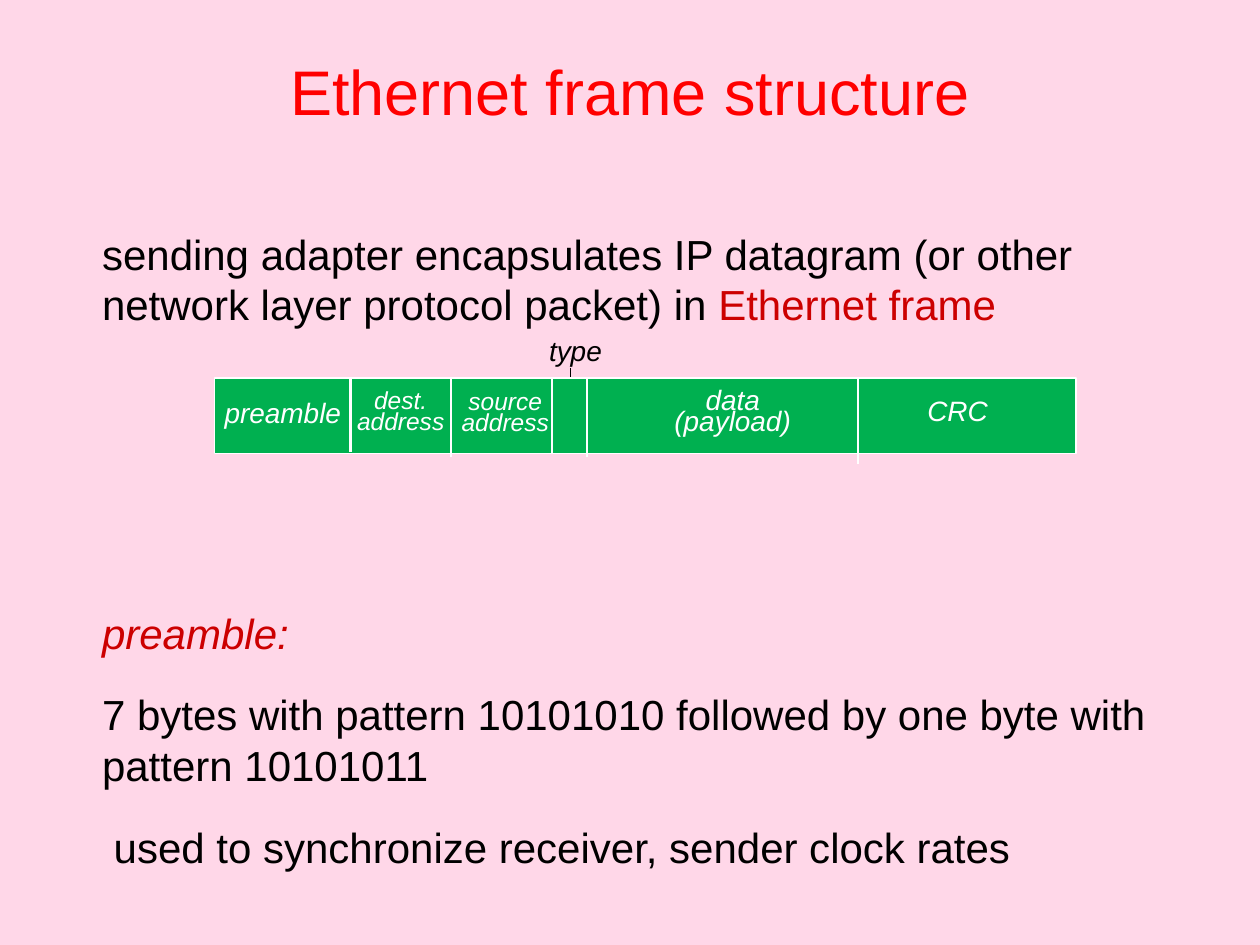
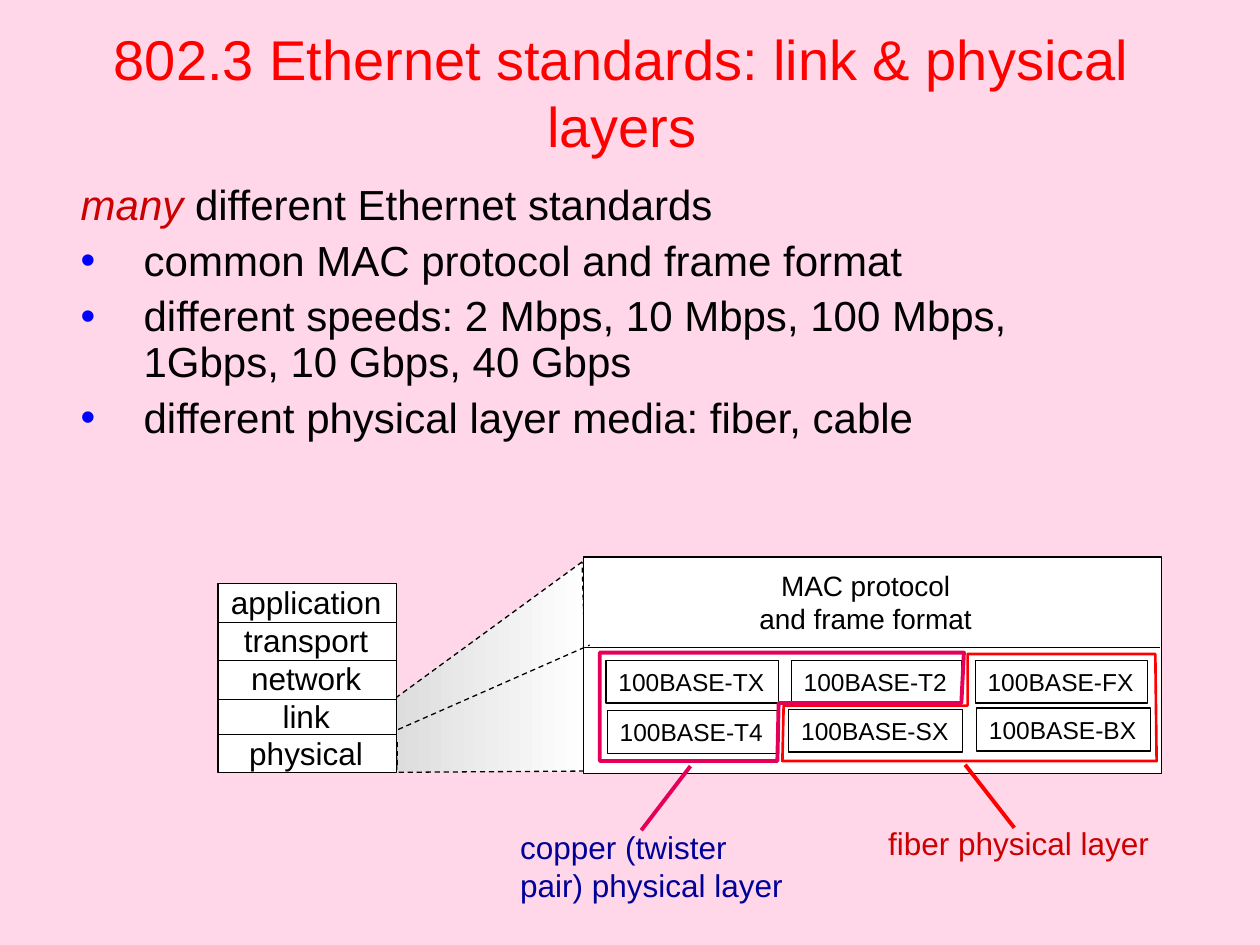
"""Build two slides on Ethernet frames and standards."""
from dataclasses import dataclass

from lxml.etree import SubElement
from pptx import Presentation
from pptx.dml.color import RGBColor
from pptx.enum.dml import MSO_LINE
from pptx.enum.shapes import MSO_CONNECTOR, MSO_SHAPE
from pptx.enum.text import MSO_ANCHOR, MSO_AUTO_SIZE, PP_ALIGN
from pptx.oxml.ns import qn
from pptx.shapes.autoshape import Shape
from pptx.slide import Slide
from pptx.text.text import TextFrame
from pptx.util import Emu, Pt

EMU_PER_PX = 9144


@dataclass(frozen=True)
class Theme:
    """Colours, font and type sizes of the slides."""
    font: str = "Arial"
    background: str = "FFD7E8"
    title: str = "FF0000"
    ink: str = "000000"
    paper: str = "FFFFFF"
    accent: str = "CC0000"
    bullet: str = "0000FF"
    frame: str = "00B050"
    shade: str = "DDDDDD"
    fiber: str = "FF0000"
    copper: str = "E40059"
    copper_text: str = "000099"
    title_size: int = 36
    long_title_size: int = 32
    body_size: int = 24
    caption_size: int = 18
    label_size: int = 16
    small_size: int = 14
    thin: float = 0.75
    medium: float = 1.5
    thick: float = 2.25


THEME = Theme()


@dataclass(frozen=True)
class Box:
    """Position and size in px."""
    left: int
    top: int
    width: int
    height: int

    def emu(self) -> tuple[Emu, ...]:
        """Return the four lengths in EMU."""
        return tuple(px(n) for n in (self.left, self.top, self.width, self.height))


@dataclass(frozen=True)
class Line:
    """A straight line between two points in px."""
    x1: int
    y1: int
    x2: int
    y2: int
    color: str = THEME.ink
    weight: float = THEME.thin
    dashed: bool = False


@dataclass(frozen=True)
class Label:
    """A caption with its box and format."""
    text: str
    box: Box
    size: int = THEME.label_size
    color: str = THEME.paper
    italic: bool = True
    align: PP_ALIGN = PP_ALIGN.CENTER
    spacing: Pt | None = Pt(12)
    wrap: bool = True


@dataclass(frozen=True)
class Run:
    """A stretch of body text in one format."""
    text: str
    color: str = THEME.ink
    italic: bool = False


@dataclass(frozen=True)
class Item:
    """A body paragraph."""
    runs: tuple[Run, ...]
    before: int = 18
    spacing: float | None = None
    bullet: bool = False


def px(length: int) -> Emu:
    """Turn px into EMU."""
    return Emu(length * EMU_PER_PX)


def rgb(color: str) -> RGBColor:
    """Turn a hex string into a colour."""
    return RGBColor.from_string(color)


def write(frame: TextFrame, text: str, *, size: int, color: str = THEME.ink,
          italic: bool = False, align: PP_ALIGN = PP_ALIGN.LEFT,
          spacing: Pt | float | None = None) -> None:
    """Add text to the last paragraph, starting a new one at each line end."""
    for number, line in enumerate(text.split("\n")):
        paragraph = frame.add_paragraph() if number else frame.paragraphs[-1]
        paragraph.alignment = align
        paragraph.line_spacing = spacing
        run = paragraph.add_run()
        run.text = line
        run.font.name = THEME.font
        run.font.size = Pt(size)
        run.font.italic = italic
        run.font.color.rgb = rgb(color)


def add_title(slide: Slide, text: str, box: Box, size: int) -> None:
    """Fill and place the title placeholder."""
    title = slide.shapes.title
    title.left, title.top, title.width, title.height = box.emu()
    title.text_frame.auto_size = MSO_AUTO_SIZE.NONE
    title.text_frame.vertical_anchor = MSO_ANCHOR.MIDDLE
    write(title.text_frame, text, size=size, color=THEME.title, align=PP_ALIGN.CENTER)


def add_body(slide: Slide, items: list[Item], box: Box) -> None:
    """Fill and place the body placeholder."""
    body = slide.placeholders[1]
    body.left, body.top, body.width, body.height = box.emu()
    frame = body.text_frame
    frame.auto_size = MSO_AUTO_SIZE.NONE
    for number, item in enumerate(items):
        paragraph = frame.add_paragraph() if number else frame.paragraphs[0]
        for run in item.runs:
            write(frame, run.text, size=THEME.body_size, color=run.color,
                  italic=run.italic, spacing=item.spacing)
        paragraph.space_before = Pt(item.before)
        paragraph.level = int(item.bullet)
        properties = paragraph._p.get_or_add_pPr()
        indent = px(50) if item.bullet else 0
        properties.set("marL", str(indent))
        properties.set("indent", str(-indent))
        if item.bullet:
            color = SubElement(properties, qn("a:buClr"))
            SubElement(color, qn("a:srgbClr"), val=THEME.bullet)
            SubElement(properties, qn("a:buFont"), typeface=THEME.font)
            SubElement(properties, qn("a:buChar"), char="•")
        else:
            SubElement(properties, qn("a:buNone"))


def add_label(slide: Slide, label: Label) -> None:
    """Draw a caption in a text box."""
    frame = slide.shapes.add_textbox(*label.box.emu()).text_frame
    frame.word_wrap = label.wrap
    frame.auto_size = MSO_AUTO_SIZE.SHAPE_TO_FIT_TEXT
    write(frame, label.text, size=label.size, color=label.color, italic=label.italic,
          align=label.align, spacing=label.spacing)


def add_line(slide: Slide, line: Line) -> None:
    """Draw a straight line."""
    connector = slide.shapes.add_connector(
        MSO_CONNECTOR.STRAIGHT, px(line.x1), px(line.y1), px(line.x2), px(line.y2))
    connector.line.color.rgb = rgb(line.color)
    connector.line.width = Pt(line.weight)
    if line.dashed:
        connector.line.dash_style = MSO_LINE.DASH
    SubElement(connector._element.spPr, qn("a:effectLst"))


def outline(shape: Shape, color: str, weight: float, fill: str | None) -> None:
    """Set the line and fill of a shape and drop its shadow."""
    shape.shadow.inherit = False
    shape.line.color.rgb = rgb(color)
    shape.line.width = Pt(weight)
    if fill:
        shape.fill.solid()
        shape.fill.fore_color.rgb = rgb(fill)
    else:
        shape.fill.background()


def add_rectangle(slide: Slide, box: Box, fill: str | None = None,
                  line: str = THEME.ink) -> Shape:
    """Draw a thin-lined rectangle."""
    rectangle = slide.shapes.add_shape(MSO_SHAPE.RECTANGLE, *box.emu())
    outline(rectangle, line, THEME.thin, fill)
    return rectangle


def add_polygon(slide: Slide, points: list[tuple[int, int]], color: str,
                weight: float) -> Shape:
    """Draw a closed outline through points in px."""
    builder = slide.shapes.build_freeform(*points[0], scale=EMU_PER_PX)
    builder.add_line_segments(points[1:], close=True)
    polygon = builder.convert_to_shape()
    outline(polygon, color, weight, None)
    return polygon


def build_frame_slide(slide: Slide) -> None:
    """Show the fields of an Ethernet frame."""
    add_title(slide, "Ethernet frame structure", Box(75, 38, 850, 67), THEME.title_size)
    add_body(slide, [
        Item((Run("sending adapter encapsulates IP datagram (or other network layer "
                  "protocol packet) in "), Run("Ethernet frame", THEME.accent))),
        Item((Run("preamble:", THEME.accent, True),), before=159),
        Item((Run("7 bytes with pattern 10101010 followed by one byte with "
                  "pattern 10101011"),)),
        Item((Run(" used to synchronize receiver, sender clock rates"),)),
    ], Box(71, 176, 850, 475))
    add_line(slide, Line(453, 292, 453, 314))
    add_rectangle(slide, Box(170, 300, 684, 60), THEME.frame, THEME.paper)
    for x, bottom in ((278, 359), (358, 363), (438, 360), (466, 363), (681, 368)):
        add_line(slide, Line(x, 300, x, bottom, THEME.paper, THEME.medium))
    for label in (
        Label("dest.\naddress", Box(272, 307, 92, 45), THEME.small_size),
        Label("source\naddress", Box(355, 308, 92, 45), THEME.small_size),
        Label("data (payload)", Box(506, 309, 151, 45)),
        Label("CRC", Box(713, 317, 94, 29)),
        Label("preamble", Box(166, 319, 117, 29)),
        Label("type", Box(426, 260, 84, 37), color=THEME.ink, align=PP_ALIGN.LEFT,
              spacing=None),
    ):
        add_label(slide, label)


def add_caption(slide: Slide, text: str, box: Box, size: int, color: str,
                align: PP_ALIGN = PP_ALIGN.LEFT) -> None:
    """Draw an upright, unwrapped caption."""
    add_label(slide, Label(text, box, size, color, False, align, None, False))


def build_standards_slide(slide: Slide) -> None:
    """Show the 802.3 standards by layer and medium."""
    add_title(slide, "802.3 Ethernet standards: link & physical layers",
              Box(17, 10, 953, 125), THEME.long_title_size)
    bullets = ("common MAC protocol and frame format",
               "different speeds: 2 Mbps, 10 Mbps, 100 Mbps, 1Gbps, 10 Gbps, 40 Gbps",
               "different physical layer media: fiber, cable")
    add_body(slide, [
        Item((Run("many ", THEME.accent, True), Run("different Ethernet standards")),
             spacing=0.9),
        *(Item((Run(text),), 6, 0.9, True) for text in bullets),
    ], Box(54, 141, 850, 230))

    zoom = add_polygon(slide, [(462, 446), (314, 554), (315, 613), (467, 612)],
                       THEME.ink, THEME.thin)
    zoom.line.dash_style = MSO_LINE.DASH
    zoom.fill.gradient()
    zoom.fill.gradient_angle = 0
    for stop, color in zip(zoom.fill.gradient_stops, (THEME.shade, THEME.paper)):
        stop.color.rgb = rgb(color)

    add_rectangle(slide, Box(173, 463, 142, 150), THEME.paper)
    add_caption(slide, "application\ntransport\nnetwork\nlink\nphysical",
                Box(173, 458, 140, 160), THEME.caption_size, THEME.ink, PP_ALIGN.CENTER)
    for y in (494, 524, 555, 583):
        add_line(slide, Line(173, y, 315, y))
    for x, top in ((173, 591), (315, 589)):
        add_line(slide, Line(x, top, x, top + 19, dashed=True))

    add_rectangle(slide, Box(463, 442, 459, 172), THEME.paper)
    add_line(slide, Line(464, 514, 921, 514))
    add_caption(slide, "MAC protocol\nand frame format", Box(592, 446, 190, 64),
                THEME.label_size, THEME.ink, PP_ALIGN.CENTER)
    add_line(slide, Line(316, 579, 468, 512, dashed=True))
    for suffix, left, top, width in (
        ("TX", 481, 524, 137), ("T4", 482, 564, 135), ("FX", 774, 524, 137),
        ("T2", 628, 524, 135), ("SX", 626, 563, 138), ("BX", 775, 562, 138),
    ):
        frame = add_rectangle(slide, Box(left, top, width, 34)).text_frame
        frame.word_wrap = False
        frame.auto_size = MSO_AUTO_SIZE.SHAPE_TO_FIT_TEXT
        write(frame, f"100BASE-{suffix}", size=THEME.small_size)

    add_polygon(slide, [(768, 519), (768, 560), (622, 560), (621, 604), (918, 604),
                        (917, 519)], THEME.fiber, THEME.medium)
    add_line(slide, Line(766, 607, 805, 657, THEME.fiber, THEME.thick))
    add_caption(slide, "fiber physical layer", Box(695, 649, 229, 40),
                THEME.caption_size, THEME.accent)
    add_polygon(slide, [(765, 518), (763, 558), (618, 558), (617, 604), (476, 604),
                        (476, 518)], THEME.copper, THEME.thick)
    add_line(slide, Line(548, 608, 509, 659, THEME.copper, THEME.thick))
    add_caption(slide, "copper (twister\npair) physical layer", Box(403, 652, 231, 71),
                THEME.caption_size, THEME.copper_text)


def main() -> None:
    """Build and save the presentation."""
    presentation = Presentation()
    presentation.slide_width, presentation.slide_height = px(1000), px(750)
    fill = presentation.slide_master.background.fill
    fill.solid()
    fill.fore_color.rgb = rgb(THEME.background)
    for build in (build_frame_slide, build_standards_slide):
        build(presentation.slides.add_slide(presentation.slide_layouts[1]))
    presentation.save("out.pptx")


if __name__ == "__main__":
    main()
